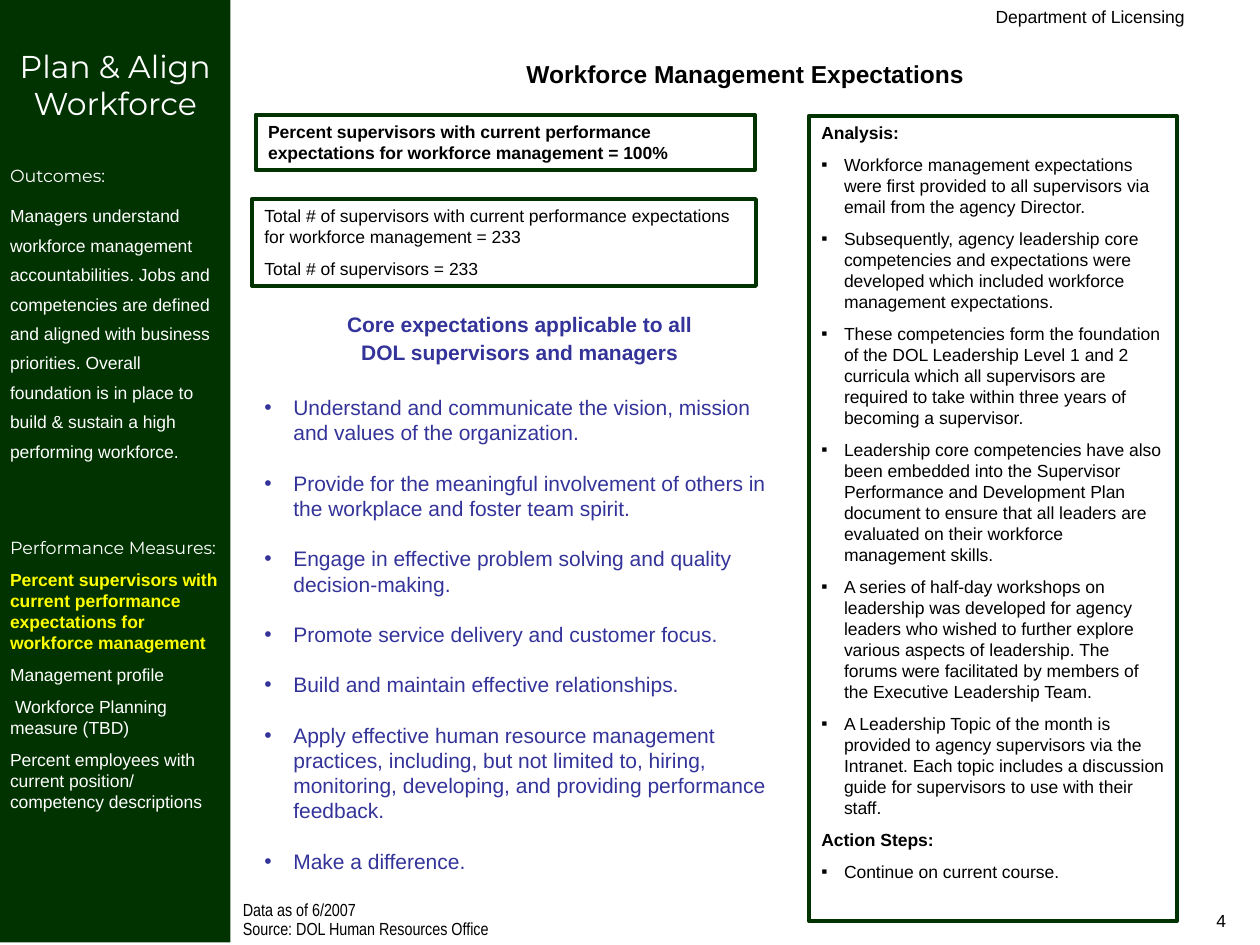
from pptx import Presentation
from pptx.dml.color import RGBColor
from pptx.enum.shapes import MSO_SHAPE
from pptx.enum.text import MSO_ANCHOR, MSO_AUTO_SIZE, PP_ALIGN
from pptx.oxml.ns import qn
from pptx.util import Inches, Pt
from lxml.etree import SubElement

COLORS = {"green": "003300", "white": "FFFFFF", "yellow": "FFFF00",
          "black": "000000", "blue": "333399"}
COLS, ROWS = 100, 75
WIDTH, HEIGHT = Inches(10), Inches(7.5)
INSETS = (0.1, 0.05, 0.1, 0.05)
BODY = {"size": 10, "name": "Arial", "color": "black", "bold": False}
SIDE = {**BODY, "color": "white"}
GAP = {"space_before": Pt(6.2)}


def rgb(name):
    return RGBColor.from_string(COLORS[name])


def grid(box):
    x, y, w, h = box
    return (int(x * WIDTH / COLS), int(y * HEIGHT / ROWS),
            int(w * WIDTH / COLS), int(h * HEIGHT / ROWS))


def set_attrs(obj, values):
    for key, value in values.items():
        setattr(obj, key, value)


def add_bullet(p, char, indent, color):
    pPr = p._p.get_or_add_pPr()
    pPr.set("marL", str(Inches(indent)))
    pPr.set("indent", str(-Inches(indent)))
    clr = SubElement(pPr, qn("a:buClr"))
    SubElement(clr, qn("a:srgbClr")).set("val", COLORS[color])
    SubElement(pPr, qn("a:buFont")).set("typeface", "Arial")
    SubElement(pPr, qn("a:buChar")).set("char", char)


def write(sp, paragraphs, insets=INSETS):
    tf = sp.text_frame
    left, top, right, bottom = map(Inches, insets)
    set_attrs(tf, {"word_wrap": True, "auto_size": MSO_AUTO_SIZE.NONE,
                   "vertical_anchor": MSO_ANCHOR.TOP,
                   "margin_left": left, "margin_top": top,
                   "margin_right": right, "margin_bottom": bottom})
    for i, (text, font, layout, bullet) in enumerate(paragraphs):
        p = tf.paragraphs[0] if i == 0 else tf.add_paragraph()
        set_attrs(p, {"alignment": PP_ALIGN.LEFT, "space_before": Pt(0), **layout})
        if i == 0:
            p.space_before = Pt(0)
        if bullet:
            add_bullet(p, *bullet)
        r = p.add_run()
        r.text = text
        set_attrs(r.font, {"size": Pt(font["size"]), "name": font["name"],
                           "bold": font["bold"]})
        r.font.color.rgb = rgb(font["color"])


def add_rect(s, box, fill=None, line=None):
    sp = s.shapes.add_shape(MSO_SHAPE.RECTANGLE, *grid(box))
    sp.shadow.inherit = False
    if fill:
        sp.fill.solid()
        sp.fill.fore_color.rgb = rgb(fill)
    else:
        sp.fill.background()
    if line:
        sp.line.color.rgb = rgb(line)
        sp.line.width = Pt(2.25)
    else:
        sp.line.fill.background()
    return sp


def add_label(s, box, text, font=BODY, align=PP_ALIGN.RIGHT):
    sp = s.shapes.add_textbox(*grid(box))
    write(sp, [(text, font, {"alignment": align}, None)])


def add_title(s, box):
    sp = s.shapes.title
    set_attrs(sp, dict(zip(("left", "top", "width", "height"), grid(box))))
    write(sp, [("Workforce Management Expectations",
                {**BODY, "size": 14, "bold": True},
                {"alignment": PP_ALIGN.CENTER}, None)])


def add_sidebar(s, box):
    head = {**SIDE, "name": "Montserrat"}
    active = {**SIDE, "color": "yellow", "bold": True}
    paragraphs = [
        ("Plan & Align Workforce", {**head, "size": 18},
         {"alignment": PP_ALIGN.CENTER}, None),
        ("Outcomes:", head, {"space_before": Pt(24.5)}, None),
        ("Managers understand workforce management accountabilities. Jobs and "
         "competencies are defined and aligned with business priorities. Overall "
         "foundation is in place to build & sustain a high performing workforce.",
         SIDE, {**GAP, "line_spacing": 1.4}, None),
        ("Performance Measures:", head, {"space_before": Pt(43)}, None),
        ("Percent supervisors with current performance expectations for "
         "workforce management", active, GAP, None),
        ("Management profile", SIDE, GAP, None),
        ("Workforce Planning measure (TBD)", SIDE, GAP, None),
        ("Percent employees with current position/ competency descriptions",
         SIDE, GAP, None),
    ]
    sp = add_rect(s, box, fill="green")
    write(sp, paragraphs, (0.08, 0.37, 0.08, 0.04))
    planning = sp.text_frame.paragraphs[6]
    planning._p.get_or_add_pPr().set("indent", str(Inches(0.04)))


def add_framed(s, box, lines, bold=False):
    write(add_rect(s, box, line="green"),
          [(text, {**BODY, "bold": bold}, GAP, None) for text in lines])


def add_analysis(s, box):
    sections = {
        "Analysis:": [
            "Workforce management expectations were first provided to all "
            "supervisors via email from the agency Director.",
            "Subsequently, agency leadership core competencies and expectations "
            "were developed which included workforce management expectations.",
            "These competencies form the foundation of the DOL Leadership Level 1 "
            "and 2 curricula which all supervisors are required to take within "
            "three years of becoming a supervisor.",
            "Leadership core competencies have also been embedded into the "
            "Supervisor Performance and Development Plan document to ensure that "
            "all leaders are evaluated on their workforce management skills.",
            "A series of half-day workshops on leadership was developed for agency "
            "leaders who wished to further explore various aspects of leadership. "
            "The forums were facilitated by members of the Executive Leadership Team.",
            "A Leadership Topic of the month is provided to agency supervisors via "
            "the Intranet. Each topic includes a discussion guide for supervisors "
            "to use with their staff.",
        ],
        "Action Steps:": ["Continue on current course."],
    }
    paragraphs = []
    for heading, items in sections.items():
        paragraphs.append((heading, {**BODY, "bold": True}, GAP, None))
        paragraphs += [(t, BODY, GAP, ("▪", 0.18, "black")) for t in items]
    write(add_rect(s, box, line="green"), paragraphs)


def add_expectations(s, box):
    font = {**BODY, "size": 12, "color": "blue"}
    headings = ["Core expectations applicable to all", "DOL supervisors and managers"]
    items = [
        "Understand and communicate the vision, mission and values of the organization.",
        "Provide for the meaningful involvement of others in the workplace and "
        "foster team spirit.",
        "Engage in effective problem solving and quality decision-making.",
        "Promote service delivery and customer focus.",
        "Build and maintain effective relationships.",
        "Apply effective human resource management practices, including, but not "
        "limited to, hiring, monitoring, developing, and providing performance feedback.",
        "Make a difference.",
    ]
    paragraphs = [(t, {**font, "bold": True},
                   {"alignment": PP_ALIGN.CENTER, "space_before": Pt(2)}, None)
                  for t in headings]
    paragraphs += [(t, font, {"space_before": Pt(14.4 if i else 17)},
                    ("•", 0.23, "blue")) for i, t in enumerate(items)]
    write(s.shapes.add_textbox(*grid(box)), paragraphs)


def add_source(s, box):
    font = {**BODY, "name": "Arial Narrow"}
    layout = {"line_spacing": 0.7, "space_before": Pt(2.5)}
    write(s.shapes.add_textbox(*grid(box)),
          [(t, font, layout, None)
           for t in ("Data as of 6/2007", "Source: DOL Human Resources Office")])


def main():
    prs = Presentation()
    prs.slide_width, prs.slide_height = WIDTH, HEIGHT
    s = prs.slides.add_slide(prs.slide_layouts[5])
    add_sidebar(s, (0, 0, 18.3, 74.8))
    add_source(s, (18.3, 71.3, 48.3, 3.7))
    add_framed(s, (20.3, 9.1, 39.6, 4.4),
               ["Percent supervisors with current performance expectations for "
                "workforce management = 100%"], bold=True)
    add_title(s, (18.3, 4.2, 81.7, 3.4))
    add_analysis(s, (64.2, 9.2, 29.2, 63.9))
    add_framed(s, (20, 15.8, 40, 6.9),
               ["Total # of supervisors with current performance expectations for "
                "workforce management = 233", "Total # of supervisors = 233"])
    add_expectations(s, (20, 24.2, 42.5, 45.7))
    add_label(s, (45, 0, 50, 2.5), "Department of Licensing")
    add_label(s, (75, 71.7, 23.3, 3.3), "4")
    prs.save("out.pptx")


if __name__ == "__main__":
    main()
